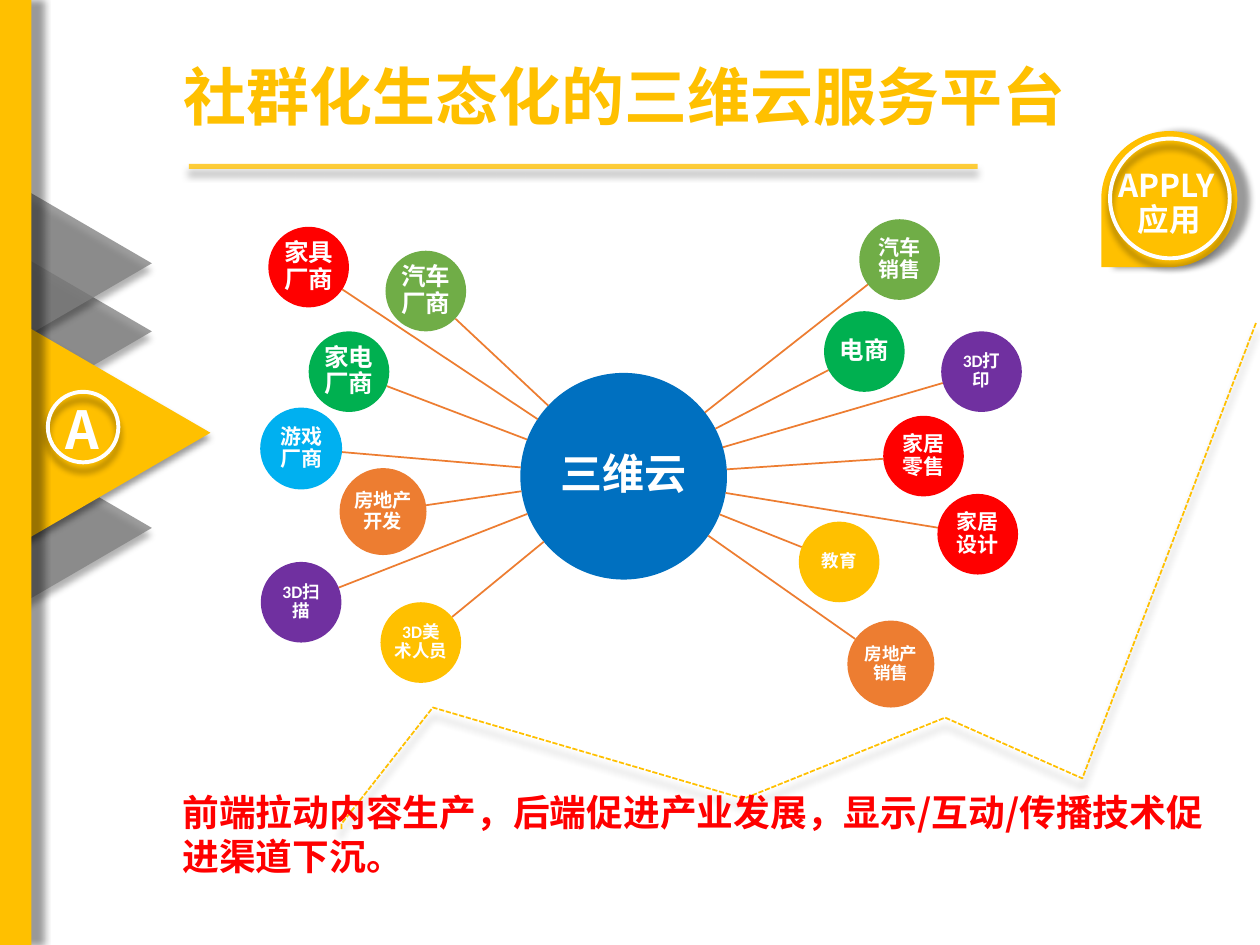
from math import hypot

from lxml.etree import SubElement
from pptx import Presentation
from pptx.dml.color import RGBColor
from pptx.enum.dml import MSO_LINE
from pptx.enum.shapes import MSO_CONNECTOR, MSO_SHAPE
from pptx.enum.text import MSO_ANCHOR, MSO_AUTO_SIZE, PP_ALIGN
from pptx.oxml.ns import qn
from pptx.util import Inches, Pt

C = {
    "gold": "FFC000", "gray": "808080", "white": "FFFFFF", "red": "FF0000",
    "blue": "0070C0", "sky": "00B0F0", "green": "00B050", "leaf": "70AD47",
    "purple": "7030A0", "orange": "ED7D31", "black": "000000",
}
CJK = "Noto Sans CJK SC"
COLS, ROWS = 100, 75
HUB = 16.4
NODES = [
    ("汽车销售", 21.9, -17.2, 6.4, "leaf", 12),
    ("电商", 19.1, -9.9, 6.4, "green", 14),
    ("教育", 17.1, 6.8, 6.4, "gold", 10),
    ("3D打印", 28.4, -8.3, 6.4, "purple", 10),
    ("家电厂商", -21.8, -8.3, 6.4, "green", 14),
    ("3D扫描", -25.6, 10, 6.4, "purple", 10),
    ("3D美术人员", -16.1, 13.2, 6.4, "gold", 10),
    ("家具厂商", -25, -16.6, 6.4, "red", 14),
    ("汽车厂商", -15.7, -14.7, 6.4, "leaf", 14),
    ("家居设计", 28.1, 4.6, 6.4, "red", 12),
    ("游戏厂商", -25.6, -2.2, 6.5, "sky", 12),
    ("房地产开发", -19.1, 2.8, 6.9, "orange", 11),
    ("房地产销售", 21.2, 14.9, 6.9, "orange", 10),
    ("家居零售", 23.8, -1.6, 6.4, "red", 12),
]


def cell(n):
    return Inches(n * 10 / COLS)


def color(name):
    return RGBColor.from_string(C[name])


def add_alpha(clr, share):
    SubElement(clr, qn("a:alpha"), val=str(share * 1000))


def set_shadow(sp, dist, angle):
    sp.shadow.inherit = False
    lst = sp._element.spPr.find(qn("a:effectLst"))
    shdw = SubElement(lst, qn("a:outerShdw"), blurRad=str(Pt(4)), dist=str(Pt(dist)),
                      dir=str(angle * 60000), algn="ctr", rotWithShape="0")
    add_alpha(SubElement(shdw, qn("a:srgbClr"), val=C["black"]), 40)


def add_shape(s, kind, box, fill=None, line=None, alpha=None, shadow=None, rotation=0):
    sp = s.shapes.add_shape(kind, *map(cell, box))
    sp.rotation = rotation
    sp.shadow.inherit = False
    if fill:
        sp.fill.solid()
        sp.fill.fore_color.rgb = color(fill)
        if alpha:
            add_alpha(sp._element.spPr.find(qn("a:solidFill"))[0], alpha)
    else:
        sp.fill.background()
    if line:
        sp.line.color.rgb = color(line)
        sp.line.width = Pt(2.25)
    else:
        sp.line.fill.background()
    if shadow:
        set_shadow(sp, *shadow)
    return sp


def set_text(tf, text, size, fill, font=CJK, align=PP_ALIGN.LEFT):
    tf.text = text
    p = tf.paragraphs[0]
    p.alignment = align
    r = p.runs[0]
    r.font.size = Pt(size)
    r.font.bold = True
    r.font.color.rgb = color(fill)
    r.font.name = font
    SubElement(r.font._element, qn("a:ea"), typeface=CJK)
    return p


def add_text(s, box, text, size, fill, wrap=False):
    tf = s.shapes.add_textbox(*map(cell, box)).text_frame
    tf.word_wrap = wrap
    set_text(tf, text, size, fill)


def add_title(s, box):
    x, y, w, h = box
    title = s.shapes.title
    title.left, title.top, title.width, title.height = map(cell, box)
    tf = title.text_frame
    set_text(tf, "社群化生态化的三维云服务平台", 36, "gold")
    tf.word_wrap = False
    tf.auto_size = MSO_AUTO_SIZE.NONE
    tf.vertical_anchor = MSO_ANCHOR.TOP
    add_shape(s, MSO_SHAPE.RECTANGLE, (x + 1.4, y + h + 1.8, 62.6, 0.4),
              "gold", alpha=77, shadow=(4, 90))


def add_sidebar(s, box):
    x, y, w, h = box
    for top in (36.7, 21.1, 15.7):
        add_shape(s, MSO_SHAPE.ISOSCELES_TRIANGLE, (x + 0.8, y + top, 12.1, 10.4),
                  "gray", alpha=77, shadow=(4, 90), rotation=90)
    add_shape(s, MSO_SHAPE.ISOSCELES_TRIANGLE, (x + 0.4, y + 26.8, 17.5, 15.1),
              "gold", shadow=(3, 90), rotation=90)
    add_shape(s, MSO_SHAPE.RECTANGLE, box, "gold", shadow=(7, 0))
    add_text(s, (x + 4.2, y + 31, 5.2, 6.1), "A", 30, "white")
    add_shape(s, MSO_SHAPE.OVAL, (x + 3.8, y + 31.1, 5.6, 5.6),
              line="white", shadow=(5, 90))


def add_badge(s, box):
    x, y, w, h = box
    add_shape(s, MSO_SHAPE.TEAR, box, "gold", shadow=(7, 0), rotation=180)
    add_text(s, (x + 0.4, y + 2.3, 10.1, 4), "APPLY", 18, "white")
    add_text(s, (x + 1.9, y + 5, 7.1, 4), "应用", 18, "white")
    add_shape(s, MSO_SHAPE.OVAL, (x + 0.7, y + 0.6, 9.5, 9.5),
              line="white", shadow=(5, 90))


def add_trend(s, box):
    x, y, w, h = box
    shares = [(0, 1), (0, 0.99), (0.1, 0.76), (0.44, 0.94),
              (0.66, 0.78), (0.81, 0.9), (1, 0)]
    points = [(cell(x + w * a), cell(y + h * b)) for a, b in shares]
    fb = s.shapes.build_freeform(*points[0])
    fb.add_line_segments(points[1:], close=False)
    sp = fb.convert_to_shape()
    sp.fill.background()
    sp.line.color.rgb = color("gold")
    sp.line.width = Pt(1)
    sp.line.dash_style = MSO_LINE.SQUARE_DOT
    set_shadow(sp, 5, 90)


def add_circle(s, cx, cy, d, text, fill, size):
    sp = add_shape(s, MSO_SHAPE.OVAL, (cx - d / 2, cy - d / 2, d, d), fill)
    tf = sp.text_frame
    tf.word_wrap = True
    tf.vertical_anchor = MSO_ANCHOR.MIDDLE
    tf.margin_left = tf.margin_right = tf.margin_top = tf.margin_bottom = Inches(0.01)
    p = set_text(tf, text, size, "white", "Calibri", PP_ALIGN.CENTER)
    p.line_spacing = 0.9


def add_spoke(s, cx, cy, dx, dy, d):
    length = hypot(dx, dy)
    near, far = HUB / 2 / length, 1 - d / 2 / length
    ends = [cell(c + v * t) for t in (near, far) for c, v in ((cx, dx), (cy, dy))]
    cn = s.shapes.add_connector(MSO_CONNECTOR.STRAIGHT, *ends)
    cn.line.color.rgb = color("orange")
    cn.line.width = Pt(1)
    SubElement(cn._element.spPr, qn("a:effectLst"))


def add_network(s, box):
    x, y, w, h = box
    cx, cy = x + w / 2, y + h / 2
    add_circle(s, cx, cy, HUB, "三维云", "blue", 24)
    for text, dx, dy, d, fill, size in NODES:
        add_spoke(s, cx, cy, dx, dy, d)
        add_circle(s, cx + dx, cy + dy, d, text, fill, size)


def main():
    prs = Presentation()
    prs.slide_width, prs.slide_height = cell(COLS), cell(ROWS)
    s = prs.slides.add_slide(prs.slide_layouts[5])
    add_title(s, (13.6, 4.1, 72.7, 7.1))
    add_badge(s, (87.4, 10.4, 10.8, 10.8))
    add_trend(s, (27.1, 25.6, 72.6, 40.2))
    add_sidebar(s, (0, 0, 2.5, ROWS))
    add_text(s, (13.5, 62.2, 85.4, 8.1),
             "前端拉动内容生产，后端促进产业发展，显示/互动/传播技术促进渠道下沉。",
             21, "red", wrap=True)
    add_network(s, (17.9, 17.4, 63.2, 40.8))
    prs.save("out.pptx")


if __name__ == "__main__":
    main()
